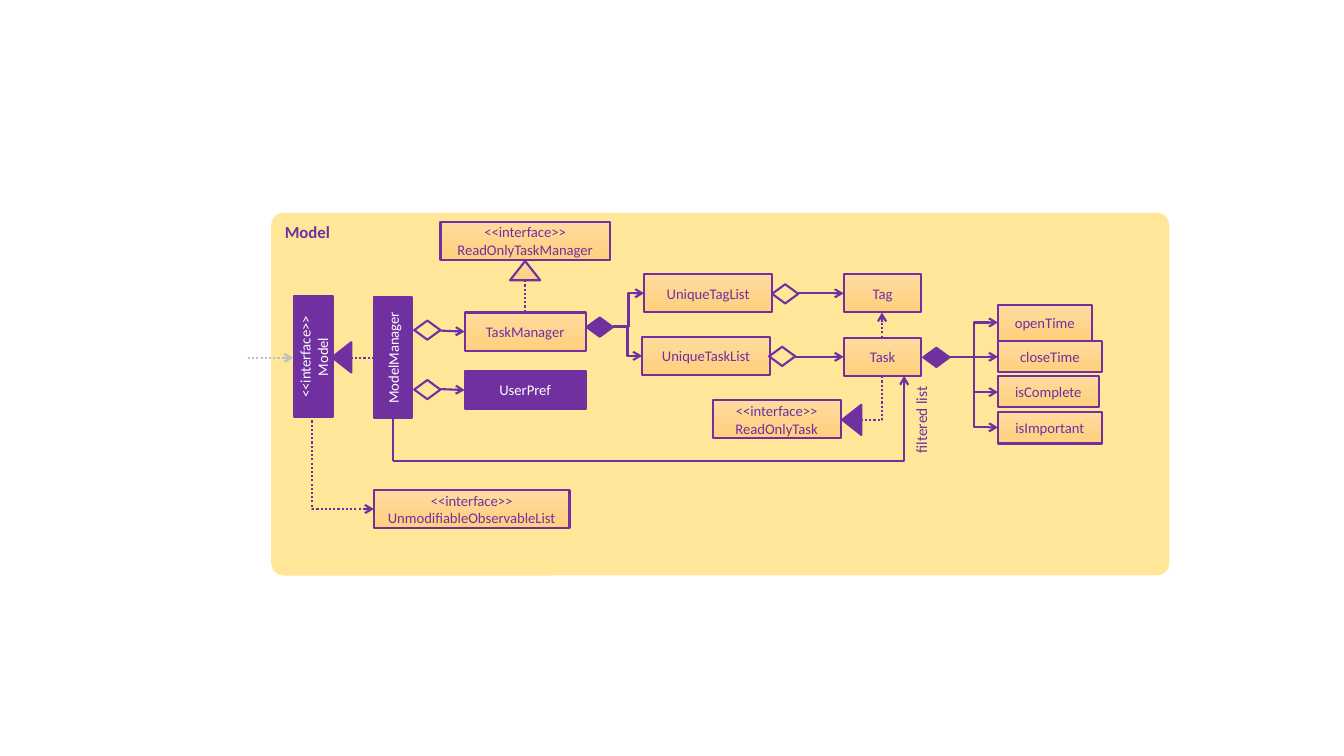
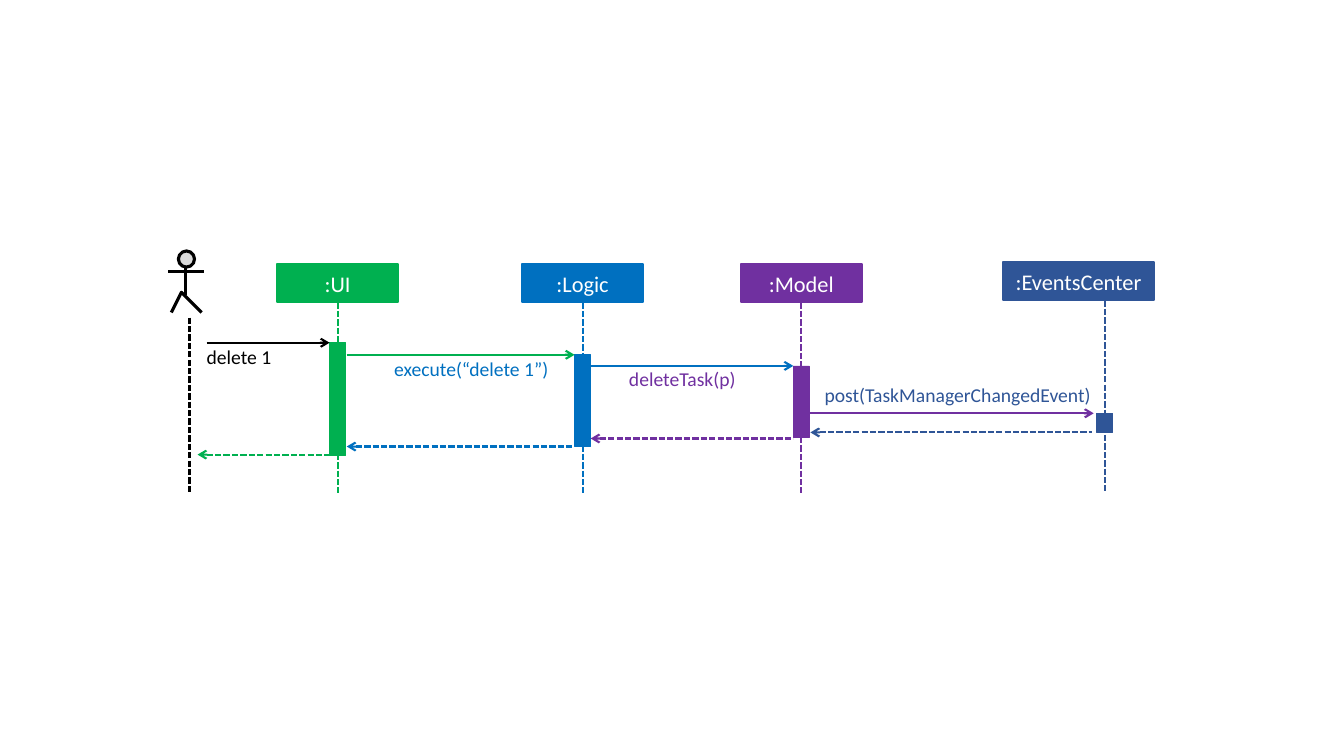
import dataclasses
import pptx
import pptx.util
import pptx.dml.color
import pptx.enum.dml
import pptx.enum.shapes
import pptx.enum.text
import pptx.oxml.ns
import lxml.etree

CELL = 91440
COLS, ROWS = 133.33, 75
FONT = "Calibri"
PLUM, GOLD, GREY = "7030A0", "FFE699", "BFBFBF"
GREEN, BLUE, NAVY = "00B050", "0070C0", "2F5597"
BLACK, WHITE, PALE = "000000", "FFFFFF", "D9D9D9"
PEACH = ("FFDB9E", "FFD07C")
DOT = pptx.enum.dml.MSO_LINE.ROUND_DOT
DASH = pptx.enum.dml.MSO_LINE.SQUARE_DOT
KIND = pptx.enum.shapes.MSO_SHAPE
JOIN = pptx.enum.shapes.MSO_CONNECTOR
ALIGN = pptx.enum.text.PP_ALIGN
ANCHOR = pptx.enum.text.MSO_ANCHOR


def tint(text):
    return pptx.dml.color.RGBColor.from_string(text)


def cells(*nums):
    return [round(num * CELL) for num in nums]


def paint(shape, fill, edge, width):
    shape.shadow.inherit = False
    if fill is None:
        shape.fill.background()
    elif isinstance(fill, tuple):
        shape.fill.gradient()
        shape.fill.gradient_angle = 270
        for stop, shade in zip(shape.fill.gradient_stops, fill):
            stop.color.rgb = tint(shade)
    else:
        shape.fill.solid()
        shape.fill.fore_color.rgb = tint(fill)
    if edge is None:
        shape.line.fill.background()
    else:
        shape.line.color.rgb = tint(edge)
        shape.line.width = pptx.util.Pt(width)


def write(shape, text, size, ink, align, bold=False):
    frame = shape.text_frame
    frame.text = text
    for para in frame.paragraphs:
        para.alignment = align
        for run in para.runs:
            run.font.name = FONT
            run.font.size = pptx.util.Pt(size)
            run.font.bold = bold
            run.font.color.rgb = tint(ink)
    return frame


@dataclasses.dataclass
class Pane:
    slide: object
    left: float
    top: float

    def shape(self, kind, x, y, wide, high, fill, edge=PLUM, width=1.5, turn=0):
        item = self.slide.shapes.add_shape(
            kind, *cells(self.left + x, self.top + y, wide, high))
        item.rotation = turn
        paint(item, fill, edge, width)
        return item

    def box(self, text, x, y, wide, high=3.8, fill=PEACH, edge=PLUM,
            ink=PLUM, size=10.5, turn=0):
        item = self.shape(KIND.RECTANGLE, x, y, wide, high, fill, edge, turn=turn)
        frame = write(item, text, size, ink, ALIGN.CENTER)
        frame.vertical_anchor = ANCHOR.MIDDLE

    def label(self, text, x, y, wide, high, size, ink, align=ALIGN.LEFT,
              pad=None, turn=0):
        item = self.slide.shapes.add_textbox(
            *cells(self.left + x, self.top + y, wide, high))
        item.rotation = turn
        frame = write(item, text, size, ink, align)
        frame.word_wrap = True
        if pad is not None:
            frame.margin_left = frame.margin_right = pad
            frame.margin_top = frame.margin_bottom = pad

    def line(self, x, y, to_x, to_y, ink=PLUM, dash=None, arrow="tailEnd",
             bend=None, width=1.5):
        item = self.slide.shapes.add_connector(
            JOIN.ELBOW if bend else JOIN.STRAIGHT,
            *cells(self.left + x, self.top + y, self.left + to_x, self.top + to_y))
        item.line.color.rgb = tint(ink)
        item.line.width = pptx.util.Pt(width)
        if dash is not None:
            item.line.dash_style = dash
        name = pptx.oxml.ns.qn
        props = item._element.spPr
        if bend:
            props.find(name("a:prstGeom")).set("prst", bend)
        if arrow:
            tip = lxml.etree.SubElement(props.find(name("a:ln")), name("a:" + arrow))
            tip.set("type", "arrow")
        lxml.etree.SubElement(props, name("a:effectLst"))


def draw_boxes(pane):
    for text, x, y, wide, high in (
            ("TaskManager", 19.2, 9.9, 12, 3.8),
            ("UniqueTaskList", 36.8, 12.3, 12.7, 3.8),
            ("UniqueTagList", 37, 6.1, 12.7, 3.8),
            ("Task", 56.8, 12.4, 7.7, 3.8),
            ("Tag", 56.8, 6.1, 7.7, 3.8),
            ("<<interface>>\nReadOnlyTask", 43.8, 18.6, 12.7, 3.8),
            ("<<interface>>\nReadOnlyTaskManager", 16.8, 0.9, 16.8, 3.8),
            ("<<interface>>\nUnmodifiableObservableList", 10.2, 27.5, 19.4, 3.8),
            ("openTime", 72.1, 9.2, 9.3, 3.5),
            ("closeTime", 72.1, 12.7, 10.3, 3.1),
            ("isComplete", 72.1, 16.2, 10, 3.1),
            ("isImportant", 72.1, 19.8, 10.3, 3.1)):
        pane.box(text, x, y, wide, high)
    for text, x, y, turn in (
            ("UserPref", 19.2, 15.7, 0),
            ("ModelManager", 6.1, 12.5, 270),
            ("<<interface>>\nModel", -1.8, 12.4, 270)):
        pane.box(text, x, y, 12, fill=PLUM, ink=WHITE, turn=turn)


def draw_marks(pane):
    for x, y, fill in (
            (14.2, 16.6, None), (14.2, 10.7, None), (49.4, 13.3, None),
            (49.7, 7.1, None), (31.3, 10.4, PLUM), (64.7, 13.4, PLUM)):
        pane.shape(KIND.FLOWCHART_DECISION, x, y, 2.6, 1.9, fill)
    for x, y, fill, turn in (
            (5.5, 13.4, PLUM, 270), (56.1, 19.6, PLUM, 270),
            (23.7, 4.8, PEACH, 0)):
        pane.shape(KIND.ISOSCELES_TRIANGLE, x, y, 3, 1.9, fill, turn=turn)


def draw_links(pane):
    step, corner = "bentConnector3", "bentConnector2"
    for ends in ((16.8, 17.5, 19.2, 17.6), (16.8, 11.7, 19.2, 11.8),
                 (52, 14.3, 56.8, 14.3), (52.3, 8, 56.8, 8),
                 (67.3, 14.3, 72.1, 14.3)):
        pane.line(*ends)
    for ends in ((33.9, 11.3, 36.8, 14.2), (33.9, 11.3, 37, 8),
                 (67.3, 14.3, 72.1, 10.9), (67.3, 14.3, 72.1, 17.8),
                 (67.3, 14.3, 72.1, 21.3)):
        pane.line(*ends, bend=step)
    pane.line(-2.3, 14.4, 2.2, 14.4, GREY, DOT)
    pane.line(60.6, 12.4, 60.6, 9.9, dash=DOT)
    pane.line(7.9, 14.4, 10.3, 14.4, dash=DOT, arrow=None)
    pane.line(25.2, 6.7, 25.2, 9.9, dash=DOT, arrow=None)
    pane.line(58.5, 20.6, 60.6, 16.2, dash=DOT, arrow=None, bend=corner)
    pane.line(10.2, 29.4, 4.1, 20.3, dash=DOT, arrow="headEnd", bend=corner)
    pane.line(12.1, 20.4, 12.1, 24.6, arrow=None)
    pane.line(12.1, 24.6, 62.8, 16.2, bend=corner)


def model_slide(slide, left, top, wide, high):
    pane = Pane(slide, left, top)
    base = pane.shape(KIND.ROUNDED_RECTANGLE, 0, 0, wide, high, GOLD, None)
    base.adjustments[0] = 0.035
    frame = write(base, "Model", 12, PLUM, ALIGN.LEFT, True)
    frame.vertical_anchor = ANCHOR.TOP
    draw_links(pane)
    draw_boxes(pane)
    draw_marks(pane)
    pane.label("filtered list", 59.7, 19.6, 9.6, 2.9, 11, PLUM,
               ALIGN.RIGHT, turn=270)


def draw_actor(pane):
    pane.line(2.1, 6.6, 2.1, 24.1, BLACK, DASH, None)
    pane.shape(KIND.FLOWCHART_CONNECTOR, 1, 0, 1.6, 1.6, PALE, BLACK, 2.25)
    for ends in ((1.7, 1.6, 1.7, 4.4), (0, 2, 3.5, 2)):
        pane.line(*ends, BLACK, arrow=None, width=2.25)
    legs = [(pane.left + x, pane.top + y)
            for x, y in ((0.4, 6.3), (1.75, 4.3), (3.1, 6.3))]
    path = pane.slide.shapes.build_freeform(*legs[0], scale=CELL)
    path.add_line_segments(legs[1:], close=False)
    paint(path.convert_to_shape(), None, BLACK, 2.25)


def draw_lane(pane, text, ink, x, y, wide, axis, start, high):
    pane.box(text, x, y, wide, fill=ink, edge=ink, ink=WHITE, size=16)
    pane.line(axis, y + 3.8, axis, y + 22.7, ink, DASH, None)
    pane.shape(KIND.RECTANGLE, axis - 0.8, start, 1.6, high, ink, ink, 0.5)


def sequence_slide(slide, left, top):
    pane = Pane(slide, left, top)
    for lane in (
            (":UI", GREEN, 10.8, 1.3, 12, 16.8, 9.1, 11.2),
            (":Logic", BLUE, 35.1, 1.3, 12, 41.1, 10.3, 9.1),
            (":Model", PLUM, 56.8, 1.3, 12, 62.8, 11.4, 7.1),
            (":EventsCenter", NAVY, 82.8, 1.1, 15, 92.9, 16.1, 1.9)):
        draw_lane(pane, *lane)
    for x, to_x, y, ink in (
            (3.8, 16, 9.1, BLACK), (17.7, 40.3, 10.3, GREEN),
            (41.9, 62, 11.4, BLUE), (63.7, 91.8, 16.1, PLUM)):
        pane.line(x, y, to_x, y, ink)
    for x, to_x, y, ink in (
            (63.7, 91.6, 18, NAVY), (41.9, 62, 18.6, PLUM),
            (17.7, 40.2, 19.4, BLUE), (2.9, 16, 20.2, GREEN)):
        pane.line(x, y, to_x, y, ink, DASH, "headEnd")
    for text, x, y, wide, ink in (
            ("delete 1", 3.8, 9.3, 9.4, BLACK),
            ("execute(“delete 1”)", 22.4, 10.5, 15.6, BLUE),
            ("deleteTask(p)", 45.7, 11.5, 15.6, PLUM),
            ("post(TaskManagerChangedEvent)", 65.1, 13.1, 26.7, NAVY)):
        pane.label(text, x, y, wide, 2.4, 14, ink, pad=0)
    draw_actor(pane)


def main():
    deck = pptx.Presentation()
    deck.slide_width, deck.slide_height = cells(COLS, ROWS)
    blank = deck.slide_layouts[6]
    model_slide(deck.slides.add_slide(blank), 26.9, 21.1, 89.1, 36)
    sequence_slide(deck.slides.add_slide(blank), 16.7, 24.9)
    deck.save("out.pptx")


if __name__ == "__main__":
    main()
